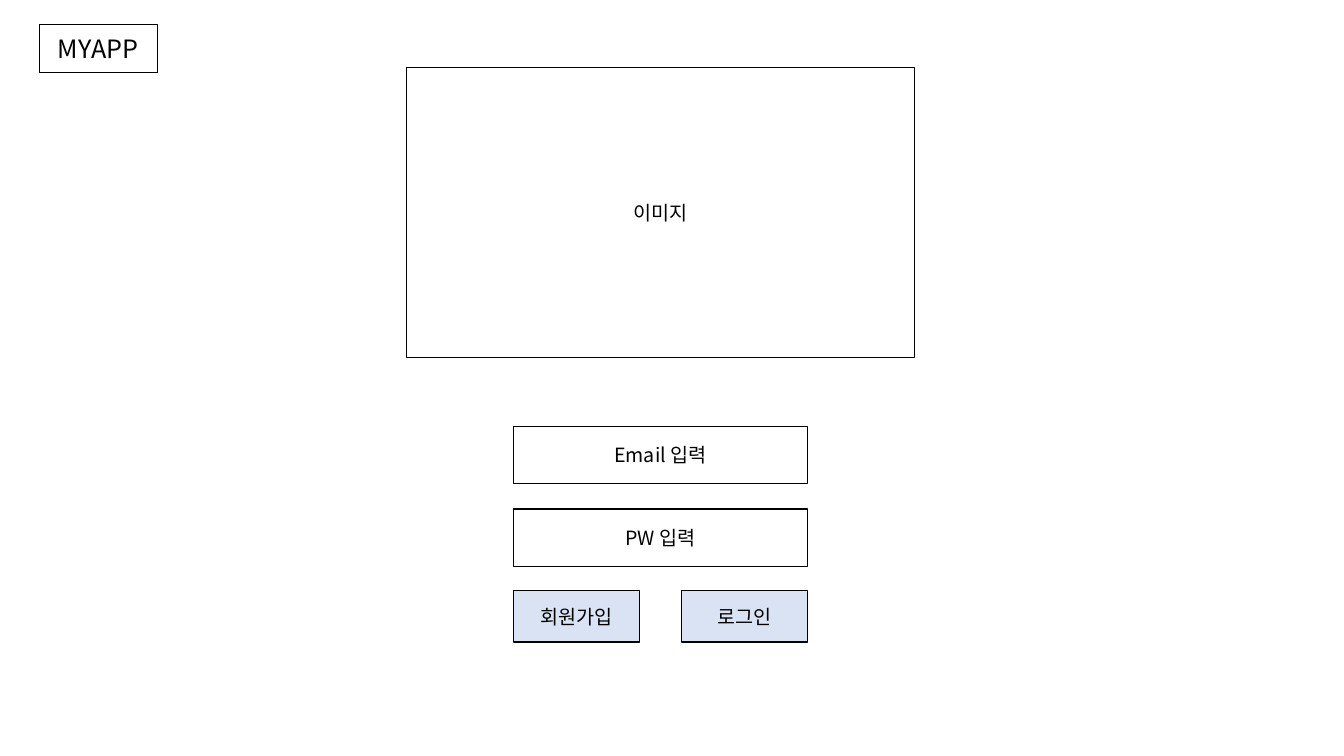
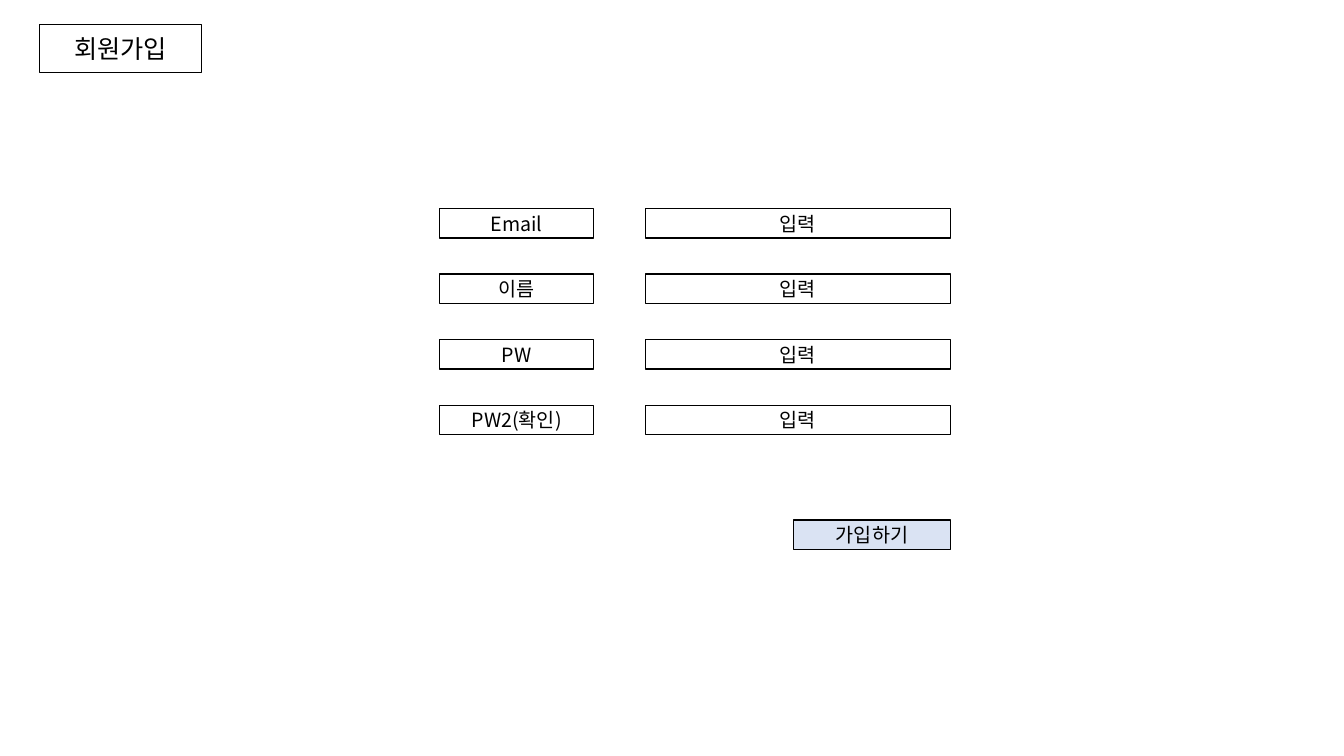
from lxml import etree
from pptx import Presentation
from pptx.dml.color import RGBColor
from pptx.enum.shapes import MSO_SHAPE
from pptx.enum.text import MSO_ANCHOR, PP_ALIGN
from pptx.oxml.ns import qn
from pptx.util import Inches, Pt

RECTANGLE = MSO_SHAPE.RECTANGLE
MIDDLE = MSO_ANCHOR.MIDDLE
CENTER = PP_ALIGN.CENTER
FONT = "Noto Sans CJK KR"
COLORS = {"ink": "000000", "paper": "FFFFFF", "button": "DAE3F3"}


def color(name):
    """Return the named palette colour."""
    return RGBColor.from_string(COLORS[name])


def write(frame, text, size=14, ink="ink", align=CENTER, anchor=MIDDLE):
    """Put formatted text in a frame, for Latin and Korean letters alike."""
    frame.word_wrap = True
    frame.vertical_anchor = anchor
    paragraph = frame.paragraphs[0]
    paragraph.alignment = align
    run = paragraph.add_run()
    run.text = text
    run.font.size = Pt(size)
    run.font.color.rgb = color(ink)
    run.font.name = FONT
    etree.SubElement(run.font._element, qn("a:ea"), typeface=FONT)


def add_box(slide, text, left, top, width, height, fill="paper", **text_format):
    """Draw an outlined rectangle with centred text; lengths in inches."""
    box = slide.shapes.add_shape(
        RECTANGLE, Inches(left), Inches(top), Inches(width), Inches(height))
    box.shadow.inherit = False
    box.fill.solid()
    box.fill.fore_color.rgb = color(fill)
    box.line.color.rgb = color("ink")
    box.line.width = Pt(1)
    write(box.text_frame, text, **text_format)


def add_screen(deck, title, title_width):
    """Add a blank slide with its screen title at the top left."""
    slide = deck.slides.add_slide(deck.slide_layouts[6])
    add_box(slide, title, 0.39, 0.24, title_width, 0.48, size=18)
    return slide


def add_login_form(slide, left, top, width):
    """Stack the input fields, with a button at each end of the row below."""
    field_height, pitch = 0.57, 0.82
    fields = ("Email 입력", "PW 입력")
    for row, field in enumerate(fields):
        add_box(slide, field, left, top + row * pitch, width, field_height)

    button_width, button_height = 1.25, 0.51
    button_top = top + len(fields) * pitch - 0.01
    button_lefts = (left, left + width - button_width)
    for label, button_left in zip(("회원가입", "로그인"), button_lefts):
        add_box(slide, label, button_left, button_top,
                button_width, button_height, fill="button")


def add_signup_form(slide, left, top, width):
    """Set label and input pairs in rows, with the submit button below."""
    row_height, pitch = 0.29, 0.65
    label_width, input_width, submit_width = 1.53, 3.03, 1.56
    right = left + width
    for row, label in enumerate(("Email", "이름", "PW", "PW2(확인)")):
        row_top = top + row * pitch
        add_box(slide, label, left, row_top, label_width, row_height)
        add_box(slide, "입력", right - input_width, row_top, input_width, row_height)
    add_box(slide, "가입하기", right - submit_width, top + 3.09,
            submit_width, row_height, fill="button")


def build_login(deck):
    """Build the login screen."""
    slide = add_screen(deck, "MYAPP", 1.17)
    add_box(slide, "이미지", 4.03, 0.67, 5.04, 2.88)
    add_login_form(slide, 5.09, 4.23, 2.92)


def build_signup(deck):
    """Build the sign-up screen."""
    slide = add_screen(deck, "회원가입", 1.61)
    add_signup_form(slide, 4.36, 2.07, 5.07)


deck = Presentation()
deck.slide_width, deck.slide_height = Inches(13.33), Inches(7.5)
build_login(deck)
build_signup(deck)
deck.save("out.pptx")
